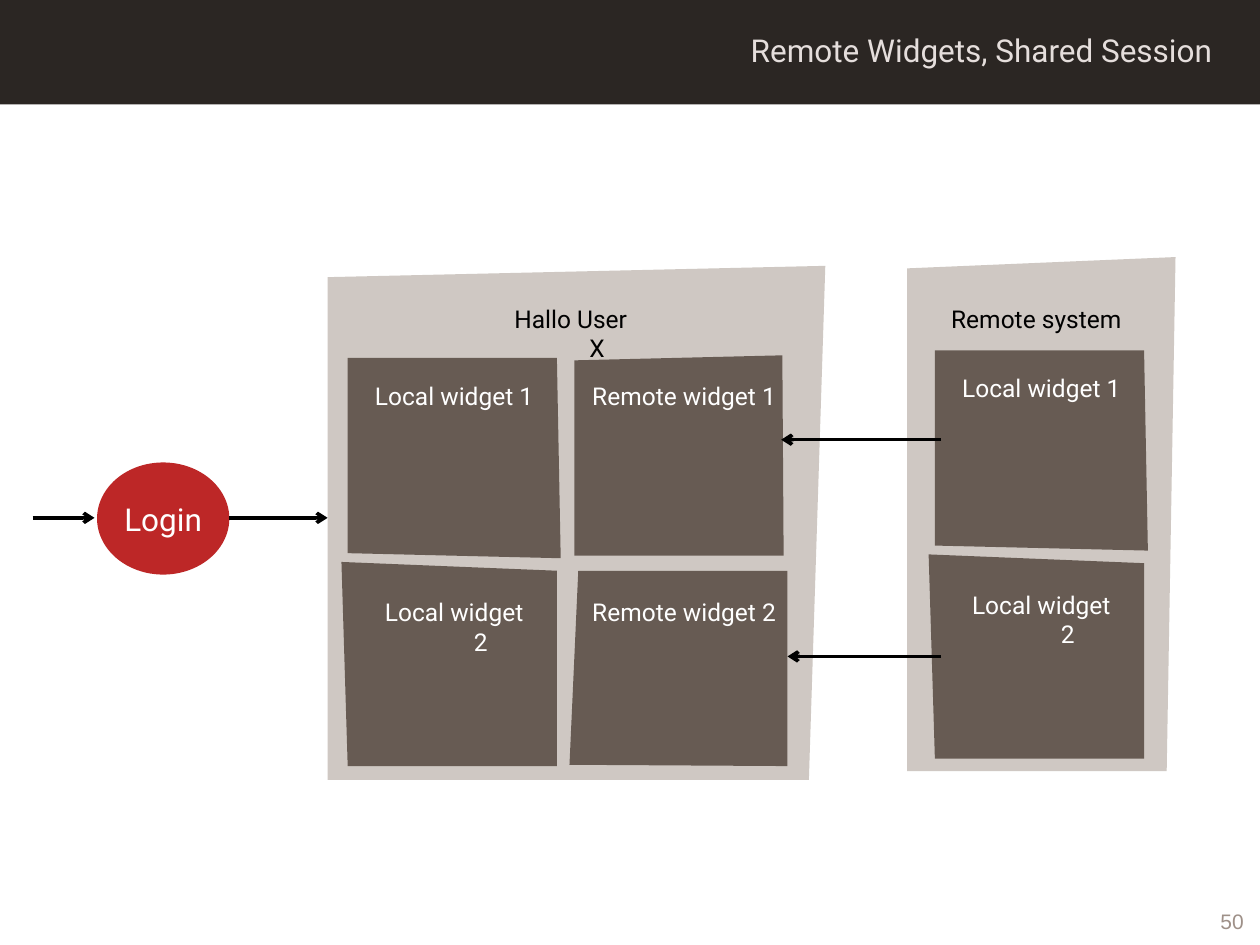
"""Build the slide on remote widgets that share one session."""
import pptx
import pptx.dml.color
import pptx.enum.shapes
import pptx.enum.text
import pptx.oxml
import pptx.oxml.ns
import pptx.util

Inches = pptx.util.Inches
ALIGN = pptx.enum.text.PP_ALIGN
ANCHOR = pptx.enum.text.MSO_ANCHOR
FIT = pptx.enum.text.MSO_AUTO_SIZE
SHAPE = pptx.enum.shapes.MSO_SHAPE

DARK, RED, PANEL, WIDGET = "2B2623", "BD2727", "CFC8C3", "675B53"
BLACK, WHITE = "000000", "FFFFFF"
REMOTE_SHIFT = (4.66, -0.06)

PANELS = [
    [(2.6, 2.2), (6.55, 2.11), (6.42, 6.19), (2.6, 6.19)],
    [(7.2, 2.13), (9.33, 2.04), (9.26, 6.12), (7.2, 6.12)],
]
LOCAL_WIDGETS = [
    ("Local widget 1", (2.93, 2.98, 1.35, 0.32),
     [(2.76, 2.84), (4.42, 2.84), (4.45, 4.43), (2.76, 4.39)]),
    ("Local widget 2", (2.94, 4.7, 1.33, 0.31),
     [(2.71, 4.46), (4.42, 4.53), (4.42, 6.08), (2.76, 6.08)]),
]
REMOTE_WIDGETS = [
    ("Remote widget 1", (4.66, 2.98, 1.54, 0.31),
     [(4.56, 2.86), (6.21, 2.82), (6.22, 4.41), (4.56, 4.41)]),
    ("Remote widget 2", (4.66, 4.7, 1.54, 0.31),
     [(4.59, 4.53), (6.25, 4.53), (6.25, 6.08), (4.52, 6.07)]),
]
HEADINGS = [
    ("Hallo User X", (3.96, 2.37, 1.14, 0.31)),
    ("Remote system", (7.5, 2.37, 1.45, 0.31)),
]
ARROWS = [
    ((0.26, 4.11), (0.75, 4.11)),
    ((1.82, 4.11), (2.6, 4.11)),
    ((7.47, 3.49), (6.2, 3.49)),
    ((7.47, 5.21), (6.25, 5.21)),
]
TIGHT = dict.fromkeys(
    ("margin_left", "margin_right", "margin_top", "margin_bottom"), Inches(0.04))
LABEL_FRAME = {**TIGHT, "word_wrap": False, "auto_size": FIT.SHAPE_TO_FIT_TEXT}


def rgb(value):
    return pptx.dml.color.RGBColor.from_string(value)


def apply(target, values):
    for name, value in values.items():
        setattr(target, name, value)


def paint(shape, color):
    shape.shadow.inherit = False
    shape.fill.solid()
    shape.fill.fore_color.rgb = rgb(color)
    shape.line.fill.background()


def write(shape, text, size, color, align, frame, font="Roboto", hang=0):
    apply(shape.text_frame, frame)
    para = shape.text_frame.paragraphs[0]
    para.alignment = align
    if hang:
        properties = para._p.get_or_add_pPr()
        properties.set("marL", str(Inches(hang)))
        properties.set("indent", str(-Inches(hang)))
    span = para.add_run()
    span.text = text
    apply(span.font, {"name": font, "size": pptx.util.Pt(size)})
    span.font.color.rgb = rgb(color)


def add_text(slide, at, *args, **kwargs):
    box = slide.shapes.add_textbox(*map(Inches, at))
    write(box, *args, **kwargs)


def add_label(slide, text, at, color):
    add_text(slide, at, text, 14, color, ALIGN.CENTER, LABEL_FRAME, hang=0.42)


def add_preset(slide, kind, at, color):
    shape = slide.shapes.add_shape(kind, *map(Inches, at))
    paint(shape, color)
    return shape


def add_outline(slide, corners, color):
    points = [(Inches(x), Inches(y)) for x, y in corners]
    builder = slide.shapes.build_freeform(*points[0])
    builder.add_line_segments(points[1:], close=True)
    paint(builder.convert_to_shape(), color)


def add_widget(slide, text, at, corners, shift=(0, 0)):
    dx, dy = shift
    add_outline(slide, [(x + dx, y + dy) for x, y in corners], WIDGET)
    left, top, width, height = at
    add_label(slide, text, (left + dx, top + dy, width, height), WHITE)


def add_arrow(slide, start, end):
    arrow = slide.shapes.add_connector(
        pptx.enum.shapes.MSO_CONNECTOR.STRAIGHT, *map(Inches, start + end))
    arrow.line.width = pptx.util.Pt(2)
    arrow.line.color.rgb = rgb(BLACK)
    namespace = pptx.oxml.ns.nsdecls("a")
    arrow.line._get_or_add_ln().append(
        pptx.oxml.parse_xml(f'<a:tailEnd {namespace} type="arrow"/>'))
    arrow._element.spPr.append(pptx.oxml.parse_xml(f"<a:effectLst {namespace}/>"))


def main():
    deck = pptx.Presentation()
    apply(deck, {"slide_width": Inches(10), "slide_height": Inches(7.5)})
    slide = deck.slides.add_slide(deck.slide_layouts[6])

    add_preset(slide, SHAPE.RECTANGLE, (0, 0, 10, 0.83), DARK)
    add_text(slide, (2.87, 0.2, 6.85, 0.4), "Remote Widgets, Shared Session",
             18, "E5DEDC", ALIGN.RIGHT, {"word_wrap": True})
    add_text(slide, (8.14, 7.17, 1.83, 0.28), "50", 12, "9E9088", ALIGN.RIGHT,
             {"word_wrap": True, "vertical_anchor": ANCHOR.MIDDLE}, font="Arial")
    login = add_preset(slide, SHAPE.OVAL, (0.77, 3.67, 1.05, 0.89), RED)
    write(login, "Login", 18, WHITE, ALIGN.CENTER,
          {**TIGHT, "word_wrap": False, "vertical_anchor": ANCHOR.MIDDLE}, hang=0.29)

    for corners in PANELS:
        add_outline(slide, corners, PANEL)
    for widget in LOCAL_WIDGETS + REMOTE_WIDGETS:
        add_widget(slide, *widget)
    for widget in LOCAL_WIDGETS:
        add_widget(slide, *widget, shift=REMOTE_SHIFT)
    for text, at in HEADINGS:
        add_label(slide, text, at, BLACK)
    for start, end in ARROWS:
        add_arrow(slide, start, end)

    deck.save("out.pptx")


if __name__ == "__main__":
    main()
